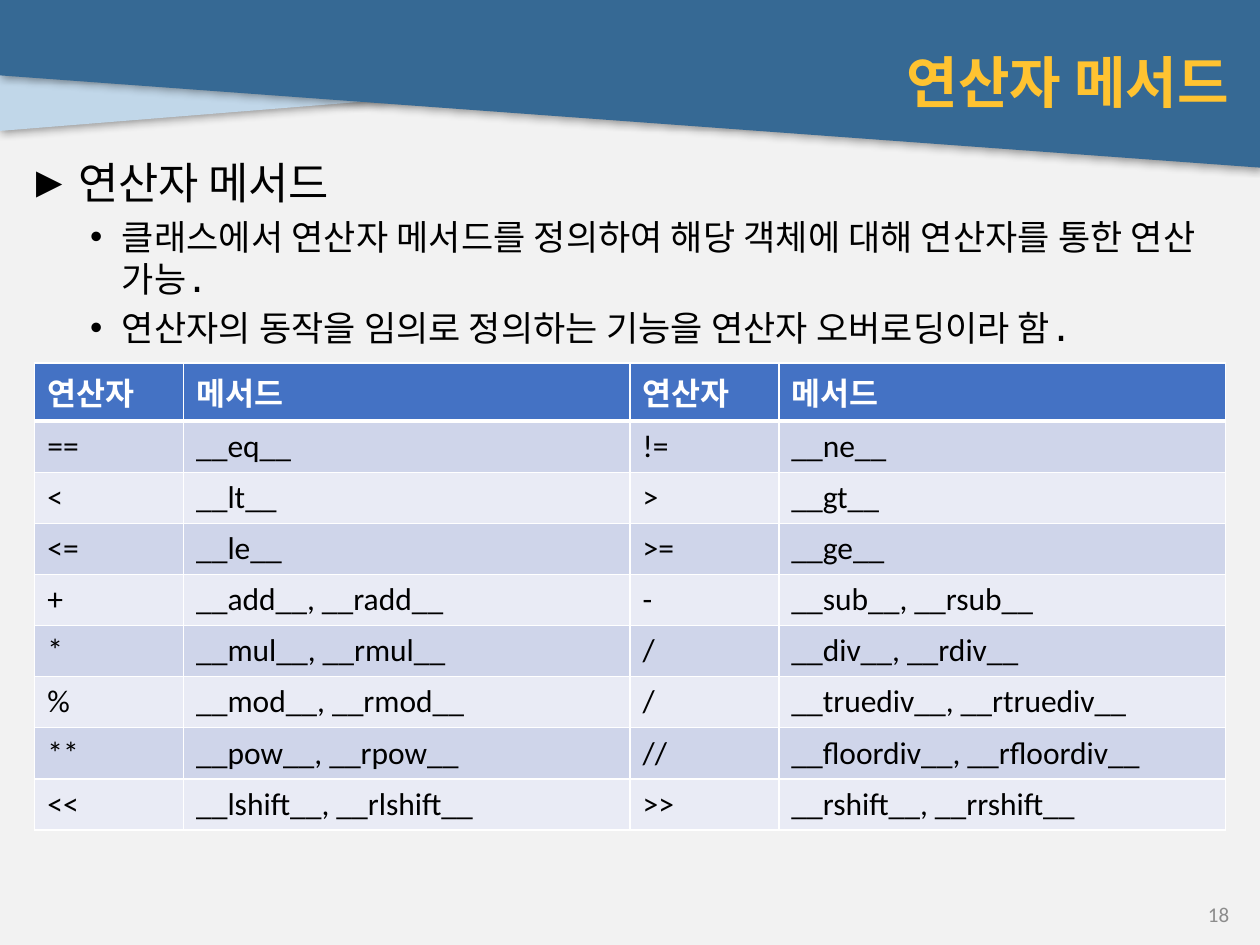
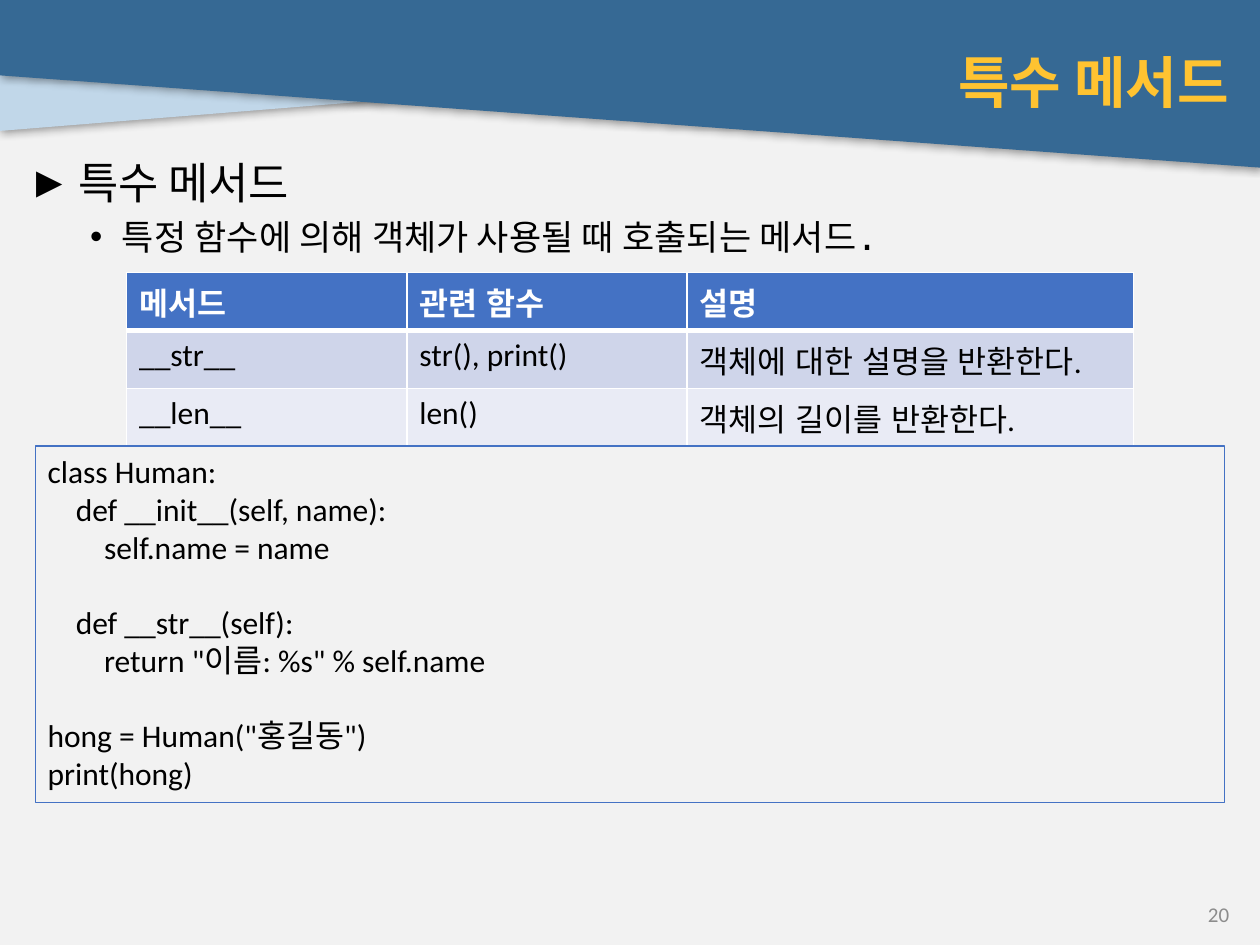
from dataclasses import dataclass

from lxml.etree import SubElement
from pptx import Presentation
from pptx.dml.color import RGBColor
from pptx.enum.lang import MSO_LANGUAGE_ID
from pptx.enum.shapes import MSO_SHAPE
from pptx.enum.text import MSO_ANCHOR, MSO_AUTO_SIZE, PP_ALIGN
from pptx.oxml.ns import qn
from pptx.util import Cm, Pt

PAPER = "F2F2F2"
BLUE = "366994"
PALE_BLUE = "C1D7E9"
YELLOW = "FFC331"
GREY = "8C8C8C"
BLACK = "000000"
WHITE = "FFFFFF"
ACCENT = "4472C4"
ROW_FILLS = ("CFD5EA", "E9EBF5")
MONO, SANS = "DejaVu Sans Mono", "Calibri"

SLIDE_WIDTH, SLIDE_HEIGHT = 25.4, 19.05
ROW_HEIGHT, KOREAN_ROW_HEIGHT = 1.03, 1.17
CODE_INDENT = 0.57
CODE_LINE = 21.5


@dataclass(frozen=True)
class TextStyle:
    size: float
    color: str
    font: str = SANS
    bold: bool = False
    korean_font: str = SANS


@dataclass(frozen=True)
class Box:
    left: float
    top: float
    width: float
    height: float

    def lengths(self):
        return Cm(self.left), Cm(self.top), Cm(self.width), Cm(self.height)


@dataclass(frozen=True)
class Band:
    color: str
    corners: tuple


@dataclass(frozen=True)
class BulletLevel:
    mark: str
    margin: float
    hanging: float
    style: TextStyle


@dataclass(frozen=True)
class Grid:
    left: float
    top: float
    columns: tuple
    rows: tuple


@dataclass(frozen=True)
class CodeLine:
    text: str
    depth: int = 0
    starts_block: bool = False


TITLE = TextStyle(32, YELLOW, MONO, bold=True)
NUMBER = TextStyle(12, GREY)
CODE = TextStyle(18, BLACK)
TABLE_HEAD = TextStyle(18, WHITE, bold=True, korean_font="")
TABLE_BODY = TextStyle(18, BLACK, korean_font="")

BANDS = (
    Band(PALE_BLUE, ((17.37, 0.1), (0, 0.1), (0, 2.64), (17.37, 1.24))),
    Band(BLUE, ((0, 0), (SLIDE_WIDTH, 0), (SLIDE_WIDTH, 3.38), (0, 1.52))),
)
LEVELS = (
    BulletLevel("►", 1.02, 1.02, TextStyle(25, BLACK, MONO)),
    BulletLevel("•", 1.9, 0.64, TextStyle(20, BLACK, MONO)),
)
TITLE_BOX = Box(0.62, 0.61, 24.41, 2.06)
BODY_BOX = Box(0.31, 3.02, 24.71, 14.78)
NUMBER_BOX = Box(19.31, 18.11, 5.72, 0.64)
CODE_BOX = Box(0.71, 8.99, 23.98, 7.19)

OPERATORS = Grid(0.7, 7.32, (3, 9, 3, 9), (
    ("연산자", "메서드", "연산자", "메서드"),
    ("==", "__eq__", "!=", "__ne__"),
    ("<", "__lt__", ">", "__gt__"),
    ("<=", "__le__", ">=", "__ge__"),
    ("+", "__add__, __radd__", "-", "__sub__, __rsub__"),
    ("*", "__mul__, __rmul__", "/", "__div__, __rdiv__"),
    ("%", "__mod__, __rmod__", "/", "__truediv__, __rtruediv__"),
    ("**", "__pow__, __rpow__", "//", "__floordiv__, __rfloordiv__"),
    ("<<", "__lshift__, __rlshift__", ">>", "__rshift__, __rrshift__"),
))
SPECIAL_METHODS = Grid(2.55, 5.49, (5.65, 5.65, 9), (
    ("메서드", "관련 함수", "설명"),
    ("__str__", "str(), print()", "객체에 대한 설명을 반환한다."),
    ("__len__", "len()", "객체의 길이를 반환한다."),
))
HUMAN_CLASS = (
    CodeLine("class Human:"),
    CodeLine("def __init__(self, name):", 1),
    CodeLine("self.name = name", 2),
    CodeLine("def __str__(self):", 1, starts_block=True),
    CodeLine('return "이름: %s" % self.name', 2),
    CodeLine('hong = Human("홍길동")', starts_block=True),
    CodeLine("print(hong)"),
)


def rgb(color: str) -> RGBColor:
    return RGBColor.from_string(color)


def write(paragraph, text: str, style: TextStyle) -> None:
    paragraph.text = text
    for run in paragraph.runs:
        font = run.font
        font.size, font.bold, font.name = Pt(style.size), style.bold, style.font
        font.color.rgb = rgb(style.color)
        font.language_id = MSO_LANGUAGE_ID.KOREAN
        if style.korean_font:
            SubElement(run._r.get_or_add_rPr(), qn("a:ea"), typeface=style.korean_font)


def next_paragraph(frame, index: int):
    return frame.add_paragraph() if index else frame.paragraphs[0]


def add_frame(slide, box: Box):
    frame = slide.shapes.add_textbox(*box.lengths()).text_frame
    frame.word_wrap = True
    return frame


def add_right_text(slide, box: Box, text: str, style: TextStyle) -> None:
    frame = add_frame(slide, box)
    frame.vertical_anchor = MSO_ANCHOR.MIDDLE
    frame.paragraphs[0].alignment = PP_ALIGN.RIGHT
    write(frame.paragraphs[0], text, style)


def add_band(slide, band: Band) -> None:
    start, *others = [(Cm(x), Cm(y)) for x, y in band.corners]
    outline = slide.shapes.build_freeform(*start)
    outline.add_line_segments(others, close=True)
    shape = outline.convert_to_shape()
    shape.fill.solid()
    shape.fill.fore_color.rgb = rgb(band.color)
    shape.line.fill.background()
    shape.shadow.inherit = False
    effects = shape._element.spPr.find(qn("a:effectLst"))
    shadow = SubElement(effects, qn("a:outerShdw"), blurRad=str(Pt(5)),
                        dist=str(Pt(1)), dir=str(45 * 60000))
    shade = SubElement(shadow, qn("a:srgbClr"), val=BLACK)
    SubElement(shade, qn("a:alpha"), val="40000")


def add_bullets(slide, heading: str, points: tuple) -> None:
    frame = add_frame(slide, BODY_BOX)
    for index, text in enumerate((heading, *points)):
        depth = min(index, 1)
        level = LEVELS[depth]
        paragraph = next_paragraph(frame, index)
        write(paragraph, text, level.style)
        paragraph.level = depth
        paragraph.space_before = paragraph.space_after = Pt(2)
        properties = paragraph._p.get_or_add_pPr()
        properties.set("marL", str(Cm(level.margin)))
        properties.set("indent", str(-Cm(level.hanging)))
        SubElement(properties, qn("a:buFont"), typeface="Arial")
        SubElement(properties, qn("a:buChar"), char=level.mark)


def set_borders(cell, row: int) -> None:
    """Draw white cell edges, with a thick one between the header and the rows."""
    widths = {"lnL": 1, "lnR": 1, "lnT": 3 if row == 1 else 1,
              "lnB": 3 if row == 0 else 1}
    properties = cell._tc.get_or_add_tcPr()
    for position, (edge, width) in enumerate(widths.items()):
        line = SubElement(properties, qn(f"a:{edge}"), w=str(Pt(width)))
        fill = SubElement(line, qn("a:solidFill"))
        SubElement(fill, qn("a:srgbClr"), val=WHITE)
        properties.insert(position, line)


def row_height(texts: tuple) -> float:
    return ROW_HEIGHT if "".join(texts).isascii() else KOREAN_ROW_HEIGHT


def add_grid(slide, grid: Grid) -> None:
    heights = [row_height(texts) for texts in grid.rows]
    box = Box(grid.left, grid.top, sum(grid.columns), sum(heights))
    table = slide.shapes.add_table(
        len(grid.rows), len(grid.columns), *box.lengths()).table
    for column, width in zip(table.columns, grid.columns):
        column.width = Cm(width)
    for row, texts in enumerate(grid.rows):
        table.rows[row].height = Cm(heights[row])
        for column, text in enumerate(texts):
            cell = table.cell(row, column)
            write(cell.text_frame.paragraphs[0], text,
                  TABLE_BODY if row else TABLE_HEAD)
            cell.fill.solid()
            cell.fill.fore_color.rgb = rgb(ROW_FILLS[(row - 1) % 2] if row else ACCENT)
            set_borders(cell, row)


def add_code(slide, lines: tuple) -> None:
    shape = slide.shapes.add_shape(MSO_SHAPE.RECTANGLE, *CODE_BOX.lengths())
    shape.shadow.inherit = False
    shape.fill.background()
    shape.line.color.rgb = rgb(ACCENT)
    shape.line.width = Pt(0.75)
    frame = shape.text_frame
    frame.word_wrap = True
    frame.auto_size = MSO_AUTO_SIZE.SHAPE_TO_FIT_TEXT
    frame.vertical_anchor = MSO_ANCHOR.TOP
    for index, line in enumerate(lines):
        paragraph = next_paragraph(frame, index)
        write(paragraph, line.text, CODE)
        paragraph.alignment = PP_ALIGN.LEFT
        paragraph.space_before = Pt(CODE_LINE if line.starts_block else 0)
        paragraph._p.get_or_add_pPr().set("marL", str(Cm(CODE_INDENT * line.depth)))


def add_topic_slide(deck, title: str, points: tuple, number: int):
    """Add a slide with the bands, the title, its bullets and the page number."""
    slide = deck.slides.add_slide(deck.slide_layouts[6])
    slide.background.fill.solid()
    slide.background.fill.fore_color.rgb = rgb(PAPER)
    for band in BANDS:
        add_band(slide, band)
    add_right_text(slide, TITLE_BOX, title, TITLE)
    add_bullets(slide, title, points)
    add_right_text(slide, NUMBER_BOX, str(number), NUMBER)
    return slide


def main() -> None:
    deck = Presentation()
    deck.slide_width, deck.slide_height = Cm(SLIDE_WIDTH), Cm(SLIDE_HEIGHT)

    operators = add_topic_slide(deck, "연산자 메서드", (
        "클래스에서 연산자 메서드를 정의하여 해당 객체에 대해 연산자를 통한 연산 가능.",
        "연산자의 동작을 임의로 정의하는 기능을 연산자 오버로딩이라 함.",
    ), 18)
    add_grid(operators, OPERATORS)

    special = add_topic_slide(deck, "특수 메서드", (
        "특정 함수에 의해 객체가 사용될 때 호출되는 메서드.",
    ), 20)
    add_grid(special, SPECIAL_METHODS)
    add_code(special, HUMAN_CLASS)

    deck.save("out.pptx")


if __name__ == "__main__":
    main()
